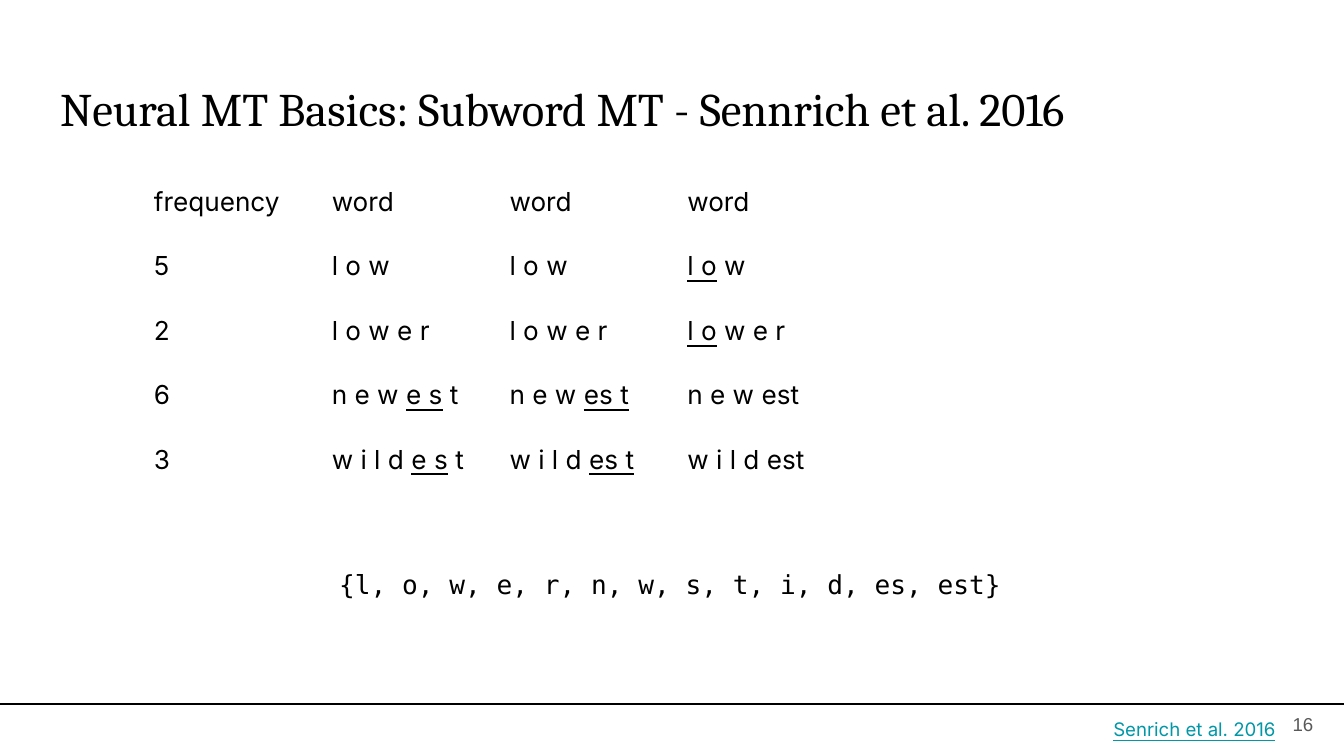
from dataclasses import dataclass

from lxml import etree
from pptx import Presentation
from pptx import util as u
from pptx.dml.color import RGBColor
from pptx.enum import shapes, text
from pptx.oxml.ns import qn

PX = 9525  # EMU in one px, 96 px to the inch


@dataclass(frozen=True)
class Theme:
    ink: str = "000000"
    link: str = "0097A7"
    muted: str = "595959"
    heading: str = "Cambria"
    body: str = "Inter"
    code: str = "DejaVu Sans Mono"
    number: str = "Arial"
    title_size: int = 25
    body_size: int = 14
    footer_size: int = 10
    inset: int = 10


@dataclass(frozen=True)
class Word:
    """Subword units of a word; the pair to be merged is underlined."""
    before: str = ""
    pair: str = ""
    after: str = ""


@dataclass(frozen=True)
class Label:
    wording: Word
    left: int
    top: int
    width: int
    height: int
    font: str
    size: int
    color: str = Theme.ink
    align: text.PP_ALIGN = text.PP_ALIGN.LEFT
    anchor: text.MSO_ANCHOR = text.MSO_ANCHOR.MIDDLE
    space_after: int = 0


THEME = Theme()
RIGHT, CENTER = text.PP_ALIGN.RIGHT, text.PP_ALIGN.CENTER

COLUMNS = 6
COLUMN_WIDTH, ROW_HEIGHT = 127, 46
MERGE_STEPS = [
    [Word("frequency"), Word("word"), Word("word"), Word("word")],
    [Word("5"), Word("l o w"), Word("l o w"), Word("", "l o", " w")],
    [Word("2"), Word("l o w e r"), Word("l o w e r"), Word("", "l o", " w e r")],
    [Word("6"), Word("n e w ", "e s", " t"), Word("n e w ", "es t"), Word("n e w est")],
    [Word("3"), Word("w i l d ", "e s", " t"), Word("w i l d ", "es t"), Word("w i l d est")],
]

LABELS = [
    Label(Word("Neural MT Basics: Subword MT - Sennrich et al. 2016"),
          33, 47, 895, 60, THEME.heading, THEME.title_size, anchor=text.MSO_ANCHOR.TOP),
    Label(Word("{l, o, w, e, r, n, w, s, t, i, d, es, est}"),
          60, 358, 838, 118, THEME.code, THEME.body_size, align=CENTER, space_after=10),
    Label(Word(pair="Senrich et al. 2016"),
          233, 503, 688, 36, THEME.body, THEME.footer_size, THEME.link, RIGHT),
    Label(Word("16"),
          890, 497, 58, 41, THEME.number, THEME.footer_size, THEME.muted, RIGHT),
]


def write_word(paragraph, word: Word, font: str, size: int, color: str) -> None:
    paragraph.font.name = font
    paragraph.font.size = u.Pt(size)
    paragraph.font.color.rgb = RGBColor.from_string(color)
    for part, underlined in ((word.before, False), (word.pair, True), (word.after, False)):
        if part:
            run = paragraph.add_run()
            run.text = part
            if underlined:
                run.font.underline = True


def set_insets(holder) -> None:
    """Give a cell or a text frame the same margin on every side."""
    holder.margin_left = holder.margin_right = THEME.inset * PX
    holder.margin_top = holder.margin_bottom = THEME.inset * PX


def draw_label(slide, label: Label) -> None:
    box = slide.shapes.add_textbox(label.left * PX, label.top * PX,
                                   label.width * PX, label.height * PX)
    frame = box.text_frame
    frame.word_wrap = True
    frame.vertical_anchor = label.anchor
    set_insets(frame)
    paragraph = frame.paragraphs[0]
    paragraph.alignment = label.align
    paragraph.space_after = u.Pt(label.space_after)
    write_word(paragraph, label.wording, label.font, label.size, label.color)


def draw_merge_table(slide, left: int, top: int) -> None:
    table = slide.shapes.add_table(
        len(MERGE_STEPS), COLUMNS, left * PX, top * PX,
        COLUMNS * COLUMN_WIDTH * PX, len(MERGE_STEPS) * ROW_HEIGHT * PX).table
    table.first_row = table.horz_banding = False
    for column in table.columns:
        column.width = COLUMN_WIDTH * PX
    for row, words in zip(table.rows, MERGE_STEPS):
        row.height = ROW_HEIGHT * PX
        for cell in row.cells:
            cell.fill.background()
        for cell, word in zip(row.cells, words):
            set_insets(cell)
            write_word(cell.text_frame.paragraphs[0], word,
                       THEME.body, THEME.body_size, THEME.ink)


def draw_footer_rule(slide, top: int, width: int) -> None:
    rule = slide.shapes.add_connector(shapes.MSO_CONNECTOR.STRAIGHT,
                                      0, top * PX, width * PX, top * PX)
    rule.line.color.rgb = RGBColor.from_string(THEME.ink)
    rule.line.width = u.Pt(0.75)
    etree.SubElement(rule.element.spPr, qn("a:effectLst"))


def main() -> None:
    deck = Presentation()
    deck.slide_width, deck.slide_height = 960 * PX, 540 * PX
    slide = deck.slides.add_slide(deck.slide_layouts[6])
    draw_merge_table(slide, 100, 123)
    draw_footer_rule(slide, 503, 960)
    for label in LABELS:
        draw_label(slide, label)
    deck.save("out.pptx")


if __name__ == "__main__":
    main()
